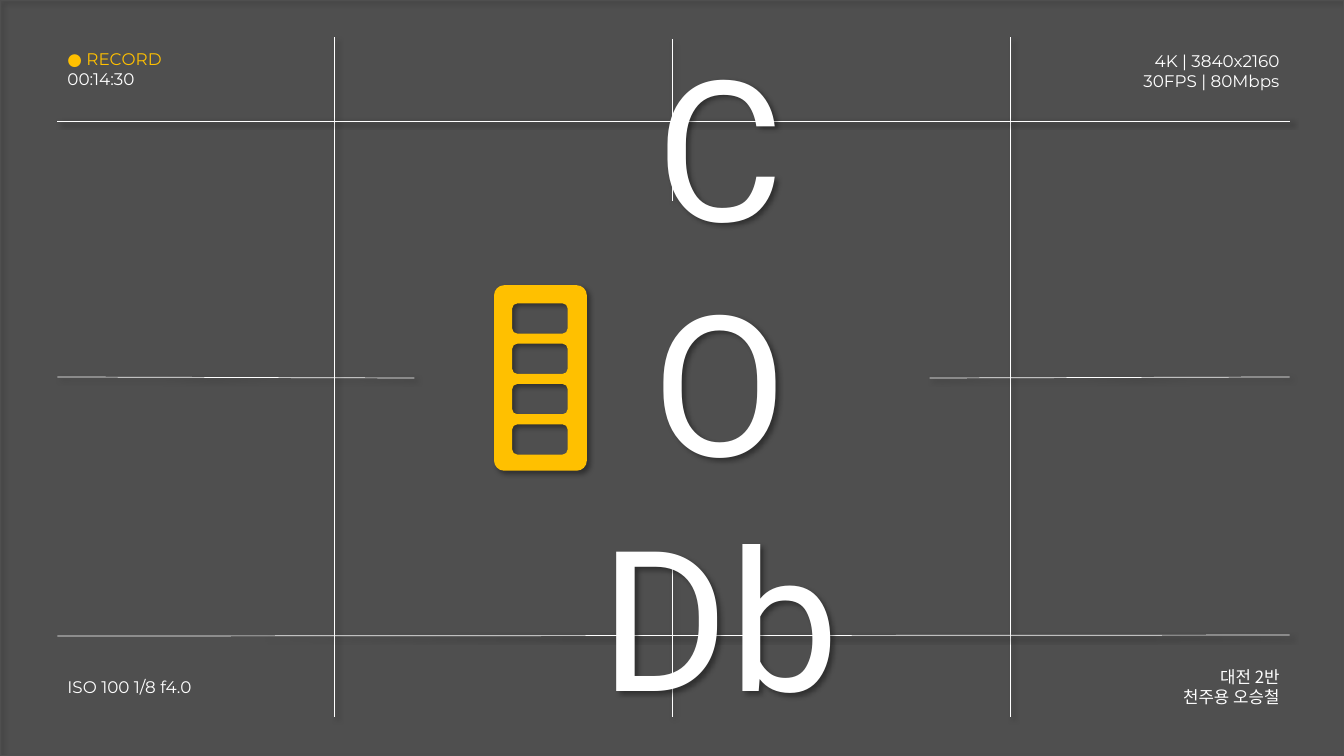
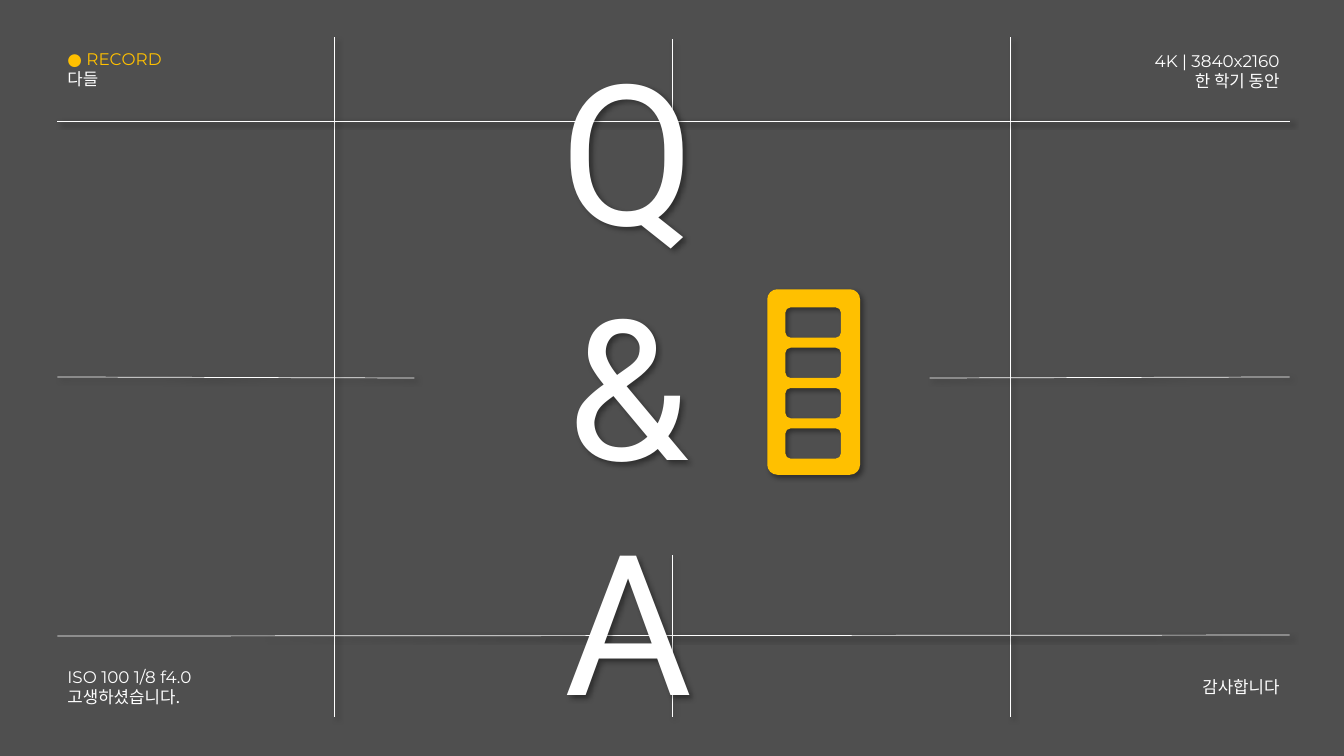
from lxml.etree import SubElement as Sub
from pptx import Presentation
from pptx.dml.color import RGBColor
from pptx.enum.shapes import MSO_CONNECTOR as Link, MSO_SHAPE as Form
from pptx.enum.text import MSO_ANCHOR as Anchor, MSO_AUTO_SIZE as Fit, PP_ALIGN as Align
from pptx.oxml.ns import qn
from pptx.util import Inches, Pt

WHITE, BLACK, GOLD = "FFFFFF", "000000", "FFC000"
LATIN, KOREAN, BIG = "Montserrat", "Noto Sans CJK KR", "Roboto"
WIDE, HIGH = 13.33, 7.5
LEFT, RIGHT, TOP, BASE = 0.57, 12.79, 0.37, 7.11
MID, HALF = WIDE / 2, HIGH / 2
NOTE_W, NOTE_H = 2.42, 0.62
FILM_W, FILM_H = 0.92, 1.84
BEND = 0.55  # share of the way to the corner for a round curve

# Viewfinder lines: x1, y1, x2, y2
LINES = [
    (4.11, HALF, LEFT, 3.74),
    (MID, 0.39, MID, 1.99),
    (3.32, TOP, 3.32, BASE),
    (10.02, TOP, 10.02, BASE),
    (RIGHT, 1.2, LEFT, 1.2),
    (RIGHT, 6.3, LEFT, 6.31),
    (MID, 5.51, MID, BASE),
    (RIGHT, 3.74, 9.22, HALF),
]

# Corners of the frame: left, top, alignment
CORNERS = [
    (LEFT, TOP, Align.LEFT),
    (RIGHT - NOTE_W, 0.39, Align.RIGHT),
    (RIGHT - NOTE_W, 6.5, Align.RIGHT),
    (LEFT, 6.5, Align.LEFT),
]

RECORD = ("● RECORD", LATIN, GOLD)
SIZE = ("4K | 3840x2160", LATIN, WHITE)
LENS = ("ISO 100 1/8 f4.0", LATIN, WHITE)

SLIDES = [
    {
        "title": "CODb", "box": (5.84, 2.83, 2.6, 1.84), "film": (4.9, 2.83), "edge": True,
        "notes": [
            [RECORD, ("00:14:30", LATIN, WHITE)],
            [SIZE, ("30FPS | 80Mbps", LATIN, WHITE)],
            [("대전 2반", KOREAN, WHITE), ("천주용 오승철", KOREAN, WHITE)],
            [LENS],
        ],
    },
    {
        "title": "Q & A", "box": (4.81, 2.87, 2.84, 1.84), "film": (7.61, 2.87), "edge": False,
        "notes": [
            [RECORD, ("다들", KOREAN, WHITE)],
            [SIZE, ("한 학기 동안", KOREAN, WHITE)],
            [("감사합니다", KOREAN, WHITE)],
            [LENS, ("고생하셨습니다.", KOREAN, WHITE)],
        ],
    },
]


def style(item, fill=None, line=None, width=0.5, alpha=None, shade=True):
    """Set fill, line and shadow of a shape or connector."""
    if fill:
        item.fill.solid()
        item.fill.fore_color.rgb = RGBColor.from_string(fill)
        if alpha:
            tint = item.fill._xPr.find(".//" + qn("a:srgbClr"))
            Sub(tint, qn("a:alpha"), val=str(alpha * 1000))
    elif hasattr(item, "fill"):
        item.fill.background()
    if line:
        item.line.color.rgb = RGBColor.from_string(line)
        item.line.width = Pt(width)
    else:
        item.line.fill.background()
    fx = Sub(item._element.spPr, qn("a:effectLst"))
    if shade:
        cast = Sub(fx, qn("a:outerShdw"), blurRad=str(Pt(4)), dist=str(Pt(3)),
                   dir=str(45 * 60000), algn="tl", rotWithShape="0")
        Sub(Sub(cast, qn("a:srgbClr"), val=BLACK), qn("a:alpha"), val="40000")


def write(frame, rows, size, align):
    """Fill a text frame with (text, font, colour) rows."""
    frame.word_wrap = True
    frame.auto_size = Fit.NONE
    frame.vertical_anchor = Anchor.MIDDLE
    frame.text = "\n".join(row[0] for row in rows)
    for para, (_, face, color) in zip(frame.paragraphs, rows):
        para.alignment = align
        font = para.runs[0].font
        font.size, font.name = Pt(size), face
        font.color.rgb = RGBColor.from_string(color)
        Sub(font._element, qn("a:ea"), typeface=face)


# Film strip outlines: a rounded frame, then four holes wound the other way.
# Each ring lists the two ends of every corner in turn.
rects = [(0, 0, FILM_W, FILM_H, 0.1)]
rects += [(0.18, 0.18 + 0.4 * row, 0.55, 0.3, 0.05) for row in range(4)]
rings = []
for x, y, w, h, rad in rects:
    r, b = x + w, y + h
    ring = [(r, b - rad), (r - rad, b), (x + rad, b), (x, b - rad),
            (x, y + rad), (x + rad, y), (r - rad, y), (r, y + rad)]
    rings.append(ring[::-1] if rings else ring)

deck = Presentation()
deck.slide_width, deck.slide_height = Inches(WIDE), Inches(HIGH)

for page in SLIDES:
    slide = deck.slides.add_slide(deck.slide_layouts[5])
    shapes = slide.shapes
    full = (0, 0, deck.slide_width, deck.slide_height)

    if page["edge"]:
        style(shapes.add_shape(Form.RECTANGLE, *full), line=WHITE, width=1)
    style(shapes.add_shape(Form.RECTANGLE, *full), BLACK, alpha=69, shade=False)

    for ends in LINES:
        style(shapes.add_connector(Link.STRAIGHT, *map(Inches, ends)), line=WHITE)

    for (x, y, align), rows in zip(CORNERS, page["notes"]):
        note = shapes.add_textbox(*map(Inches, (x, y, NOTE_W, NOTE_H)))
        write(note.text_frame, rows, 12, align)

    left, top = page["film"]
    pen = None
    for ring in rings:
        dots = [(Inches(left + x), Inches(top + y)) for x, y in ring]
        if pen:
            pen.move_to(*dots[0])
        else:
            pen = shapes.build_freeform(*dots[0])
        pen.add_line_segments(dots[1:], close=True)
    film = pen.convert_to_shape()
    style(film, GOLD)

    # Every other line segment spans a corner: turn it into a curve
    spots = list(film._element.iter(qn("a:pt")))
    for n in range(0, len(spots), 2):
        start, end = [(int(p.get("x")), int(p.get("y"))) for p in spots[n:n + 2]]
        tip = (start[0], end[1]) if n % 4 == 0 else (end[0], start[1])
        curve = spots[n + 1].getparent()
        curve.tag = qn("a:cubicBezTo")
        for slot, base in enumerate((start, end)):
            x, y = [round(p + (q - p) * BEND) for p, q in zip(base, tip)]
            curve.insert(slot, curve.makeelement(qn("a:pt"), x=str(x), y=str(y)))

    title = shapes.title
    title.left, title.top, title.width, title.height = map(Inches, page["box"])
    write(title.text_frame, [(page["title"], BIG, WHITE)], 140, Align.CENTER)
    style(title)
    shapes._spTree.append(title._element)  # keep the letters above the lines

deck.save("out.pptx")
